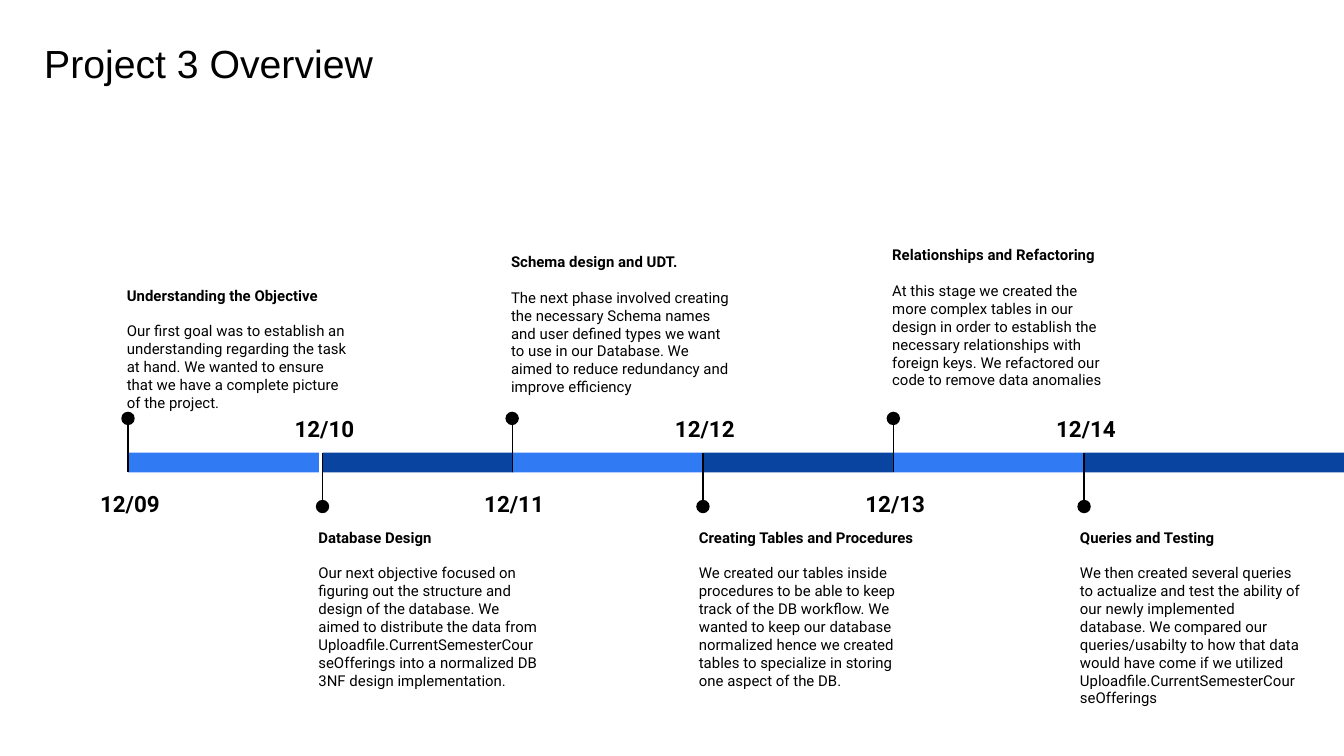
from lxml.etree import SubElement
from pptx import Presentation
from pptx.dml.color import RGBColor
from pptx.enum.shapes import MSO_CONNECTOR, MSO_SHAPE
from pptx.enum.text import PP_ALIGN
from pptx.oxml.ns import qn
from pptx.util import Pt

COLORS = {"text": "000000", "light": "307BF3", "dark": "0944A1"}
BAR_TOP, BAR_HEIGHT, BAR_WIDTH = 242.5, 10.6, 102.2
SLIDE_WIDTH, SLIDE_HEIGHT = 720, 405
DOT = 7.2
BELOW_TOP = 275.8

MILESTONES = [
    (68.6, 146.2, "12/09", "Understanding the Objective",
     "Our first goal was to establish an understanding regarding the task at hand. "
     "We wanted to ensure that we have a complete picture of the project."),
    (172.8, BELOW_TOP, "12/10", "Database Design",
     "Our next objective focused on figuring out the structure and design of the database. "
     "We aimed to distribute the data from Uploadfile.CurrentSemesterCourseOfferings "
     "into a normalized DB 3NF design implementation."),
    (274.4, 128.2, "12/11", "Schema design and UDT.",
     "The next phase involved creating the necessary Schema names and user defined types "
     "we want to use in our Database. We aimed to reduce redundancy and improve efficiency"),
    (376.6, BELOW_TOP, "12/12", "Creating Tables and Procedures",
     "We created our tables inside procedures to be able to keep track of the DB workflow. "
     "We wanted to keep our database normalized hence we created tables to specialize in "
     "storing one aspect of the DB."),
    (478.6, 124.6, "12/13", "Relationships and Refactoring",
     "At this stage we created the more complex tables in our design in order to establish "
     "the necessary relationships with foreign keys. We refactored our code to remove data "
     "anomalies"),
    (580.8, BELOW_TOP, "12/14", "Queries and Testing",
     "We then created several queries to actualize and test the ability of our newly "
     "implemented database. We compared our queries/usabilty to how that data would have "
     "come if we utilized Uploadfile.CurrentSemesterCourseOfferings"),
]


def color(name):
    """Return the named colour."""
    return RGBColor.from_string(COLORS[name])


def add_text(s, left, top, width, height):
    """Add an empty wrapping text box and return its frame."""
    tf = s.shapes.add_textbox(Pt(left), Pt(top), Pt(width), Pt(height)).text_frame
    tf.word_wrap = True
    tf.margin_left = tf.margin_right = tf.margin_top = tf.margin_bottom = Pt(7.2)
    return tf


def set_text(p, text, size, font="Roboto", bold=False):
    """Fill a paragraph and style it."""
    p.text = text
    p.font.size = Pt(size)
    p.font.name = font
    p.font.bold = bold
    p.font.color.rgb = color("text")


def add_filled(s, kind, left, top, width, height, fill):
    """Add a plain filled shape."""
    sp = s.shapes.add_shape(kind, Pt(left), Pt(top), Pt(width), Pt(height))
    sp.shadow.inherit = False
    sp.fill.solid()
    sp.fill.fore_color.rgb = color(fill)
    sp.line.fill.background()


def add_pin(s, x, side):
    """Add a stem across the bar with a dot above (-1) or below (1)."""
    middle = BAR_TOP + BAR_HEIGHT / 2
    dot_y = middle + side * 23.6
    line = s.shapes.add_connector(
        MSO_CONNECTOR.STRAIGHT, Pt(x), Pt(dot_y), Pt(x), Pt(middle - side * BAR_HEIGHT / 2))
    line.line.color.rgb = color("text")
    line.line.width = Pt(0.75)
    SubElement(line._element.spPr, qn("a:effectLst"))
    add_filled(s, MSO_SHAPE.OVAL, x - DOT / 2, dot_y - DOT / 2, DOT, DOT, "text")


def add_milestone(s, x, top, width, date, heading, body):
    """Add one timeline step: bar, date, description and pin."""
    below = top == BELOW_TOP
    add_filled(s, MSO_SHAPE.RECTANGLE, x, BAR_TOP, width, BAR_HEIGHT,
               "dark" if below else "light")

    p = add_text(s, x - 28.5, 213.1 if below else 253.4, 59, 29.5).paragraphs[0]
    set_text(p, date, 12, bold=True)
    p.alignment = PP_ALIGN.CENTER
    p.line_spacing = 1.15

    tf = add_text(s, x - (9.3 if below else 7.7), top, 132.5, 74.2)
    set_text(tf.paragraphs[0], heading, 8, bold=True)
    p = tf.add_paragraph()
    set_text(p, body, 8)
    p.space_before = Pt(9.5)

    add_pin(s, x, 1 if below else -1)


def add_timeline(s):
    """Add every milestone, the last bar running to the slide edge."""
    for x, top, date, heading, body in MILESTONES:
        width = SLIDE_WIDTH - x if x == MILESTONES[-1][0] else BAR_WIDTH
        add_milestone(s, x, top, width, date, heading, body)


def main():
    """Build and save the slide."""
    prs = Presentation()
    prs.slide_width, prs.slide_height = Pt(SLIDE_WIDTH), Pt(SLIDE_HEIGHT)
    s = prs.slides.add_slide(prs.slide_layouts[6])
    title = add_text(s, 16.6, 13.7, 540.7, 40.3)
    set_text(title.paragraphs[0], "Project 3 Overview", 21, "Arial")
    add_timeline(s)
    prs.save("out.pptx")


if __name__ == "__main__":
    main()
